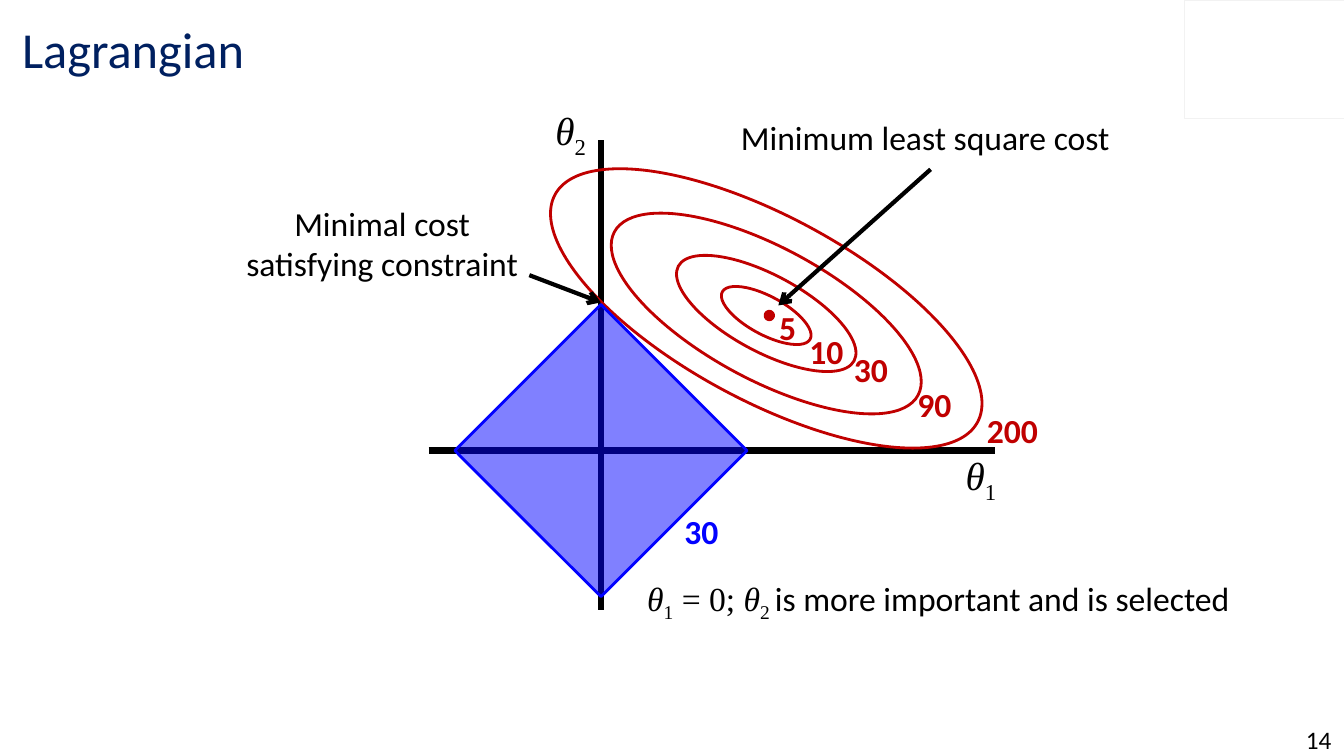
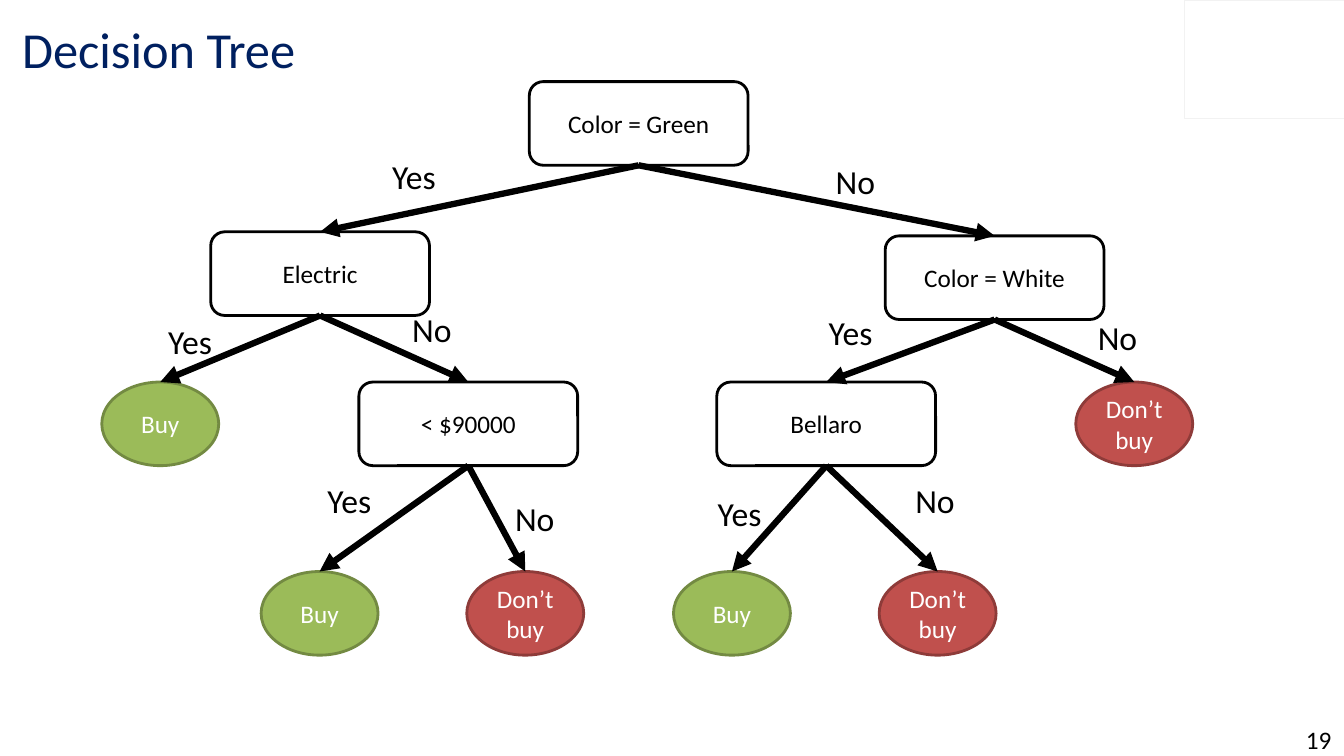
from dataclasses import dataclass

from lxml import etree
from pptx import Presentation
from pptx import util as u
from pptx.dml.color import RGBColor
from pptx.enum import shapes, text
from pptx.oxml import ns

BLACK = RGBColor(0x00, 0x00, 0x00)
WHITE = RGBColor(0xFF, 0xFF, 0xFF)
NAVY = RGBColor(0x00, 0x20, 0x60)
PALE_GREY = RGBColor(0xF2, 0xF2, 0xF2)
DARK_RED = RGBColor(0xC0, 0x00, 0x00)
BLUE = RGBColor(0x02, 0x02, 0xFF)
GREEN = RGBColor(0x9B, 0xBB, 0x59)
GREEN_EDGE = RGBColor(0x73, 0x8A, 0x42)
RED = RGBColor(0xC0, 0x50, 0x4D)
RED_EDGE = RGBColor(0x8E, 0x3B, 0x39)

BODY = {"name": "Calibri", "size": u.Pt(24), "bold": False, "italic": False}
TITLE = {**BODY, "size": u.Pt(36)}
SMALL = {**BODY, "size": u.Pt(18)}
STRONG = {**BODY, "bold": True}
SERIF = {**BODY, "name": "Times New Roman"}
SYMBOL = {**SERIF, "italic": True}

CENTER = text.PP_ALIGN.CENTER
LEFT = text.PP_ALIGN.LEFT
MIDDLE = text.MSO_ANCHOR.MIDDLE
SHAPE = shapes.MSO_SHAPE
TOP_SIDE, BOTTOM_SIDE = 0, 2


@dataclass
class Box:
    left: float
    top: float
    width: float
    height: float

    def inner(self, left, top, width, height):
        return Box(self.left + left, self.top + top, width, height)

    def around(self, x, y, width, height):
        return self.inner(x - width / 2, y - height / 2, width, height)

    def point(self, x, y):
        return u.Inches(self.left + x), u.Inches(self.top + y)

    def frame(self):
        return [u.Inches(n) for n in (self.left, self.top, self.width, self.height)]


def set_all(target, values):
    for name, value in values.items():
        setattr(target, name, value)


def write(frame, paragraphs, color=BLACK, align=LEFT):
    for index, spans in enumerate(paragraphs):
        para = frame.paragraphs[0] if index == 0 else frame.add_paragraph()
        para.alignment = align
        for words, style, *lowered in spans:
            span = para.add_run()
            span.text = words
            set_all(span.font, style)
            span.font.color.rgb = color
            if lowered:
                span.font._element.set("baseline", "-25000")


def add_text(page, box, paragraphs, color=BLACK, align=LEFT, **settings):
    label = page.shapes.add_textbox(*box.frame())
    set_all(label.text_frame, {"word_wrap": False, **settings})
    write(label.text_frame, paragraphs, color, align)


def add_figure(page, kind, box, edge, weight=2, fill=None, rotation=0):
    figure = page.shapes.add_shape(kind, *box.frame())
    figure.shadow.inherit = False
    figure.rotation = rotation
    figure.line.color.rgb = edge
    figure.line.width = u.Pt(weight)
    if fill is None:
        figure.fill.background()
    else:
        figure.fill.solid()
        figure.fill.fore_color.rgb = fill
    return figure


def add_line(page, start, end, weight=4.5, arrow=None):
    line = page.shapes.add_connector(shapes.MSO_CONNECTOR.STRAIGHT, *start, *end)
    line.line.color.rgb = BLACK
    line.line.width = u.Pt(weight)
    properties = line.element.spPr
    if arrow:
        outline = properties.find(ns.qn("a:ln"))
        etree.SubElement(outline, ns.qn("a:tailEnd"), type=arrow)
    etree.SubElement(properties, ns.qn("a:effectLst"))
    return line


def add_page(deck, title, number):
    page = deck.slides.add_slide(deck.slide_layouts[6])
    add_figure(page, SHAPE.RECTANGLE, Box(11.74, 0, 1.59, 1.17), PALE_GREY, 0.25)
    add_text(page, Box(0.12, 0.1, 10.29, 0.75), [[(title, TITLE)]], NAVY,
             word_wrap=True, vertical_anchor=MIDDLE)
    add_text(page, Box(12.83, 7.17, 0.5, 0.33), [[(str(number), SMALL)]],
             align=CENTER, word_wrap=True, vertical_anchor=MIDDLE)
    return page


def theta(index):
    return [("θ", SYMBOL), (index, SERIF, True)]


def draw_contours(page, box):
    for height, y in ((4.76, 2.05), (3.42, 2.1), (1.98, 2.1), (0.99, 2.12)):
        add_figure(page, SHAPE.OVAL, box.around(5.27, y, height * 0.384, height),
                   DARK_RED, rotation=298.3)
    add_figure(page, SHAPE.OVAL, box.around(5.3, 2.12, 0.05, 0.05), DARK_RED, 4.5)


def draw_lagrangian(page, box):
    add_line(page, box.point(1.92, 3.46), box.point(7.54, 3.46))
    add_line(page, box.point(3.63, 5.04), box.point(3.63, 0.38))
    draw_contours(page, box)

    for index, left, top in (("1", 7.15, 3.42), ("2", 3.08, 0)):
        big = [(words, {**style, "size": u.Pt(28)}, *lowered)
               for words, style, *lowered in theta(index)]
        add_text(page, box.inner(left, top, 0.56, 0.57), [big])

    costs = (("5", 5.3, 1.99, 0.37), ("10", 5.6, 2.22, 0.54), ("30", 6.04, 2.4, 0.54),
             ("90", 6.67, 2.75, 0.54), ("200", 7.36, 3.01, 0.71))
    for cost, left, top, width in costs:
        add_text(page, box.inner(left, top, width, 0.5), [[(cost, STRONG)]], DARK_RED)

    add_line(page, box.point(6.9, 0.67), box.point(5.39, 2.02), 3, "arrow")
    add_text(page, box.inner(4.92, 0.1, 3.89, 0.5), [[("Minimum least square cost", BODY)]])

    diamond = add_figure(page, SHAPE.RECTANGLE, box.around(3.63, 3.46, 2.05, 2.05),
                         BLUE, fill=BLUE, rotation=45)
    tint = diamond.element.spPr.find(ns.qn("a:solidFill"))[0]
    etree.SubElement(tint, ns.qn("a:alpha"), val="50000")

    add_text(page, box.inner(0, 0.95, 2.92, 0.91),
             [[("Minimal cost", BODY)], [("satisfying constraint", BODY)]], align=CENTER)
    add_line(page, box.point(2.92, 1.72), box.point(3.63, 1.99), 3, "arrow")
    add_text(page, box.inner(4.36, 4.01, 0.54, 0.5), [[("30", STRONG)]], BLUE)
    add_text(page, box.inner(3.99, 4.67, 6.19, 0.5),
             [theta("1") + [(" = 0; ", SERIF)] + theta("2 ")
              + [("is more important and is selected", BODY)]])


NODE_KINDS = {
    "question": (SHAPE.ROUNDED_RECTANGLE, 2.17, WHITE, BLACK, BLACK),
    "accept": (SHAPE.OVAL, 1.16, GREEN, GREEN_EDGE, WHITE),
    "reject": (SHAPE.OVAL, 1.16, RED, RED_EDGE, WHITE),
}
NODES = {
    "root": ("question", "Color = Green", 4.24, 0),
    "white": ("question", "Color = White", 7.77, 1.53),
    "electric": ("question", "Electric", 1.08, 1.49),
    "price": ("question", "< $90000", 2.55, 2.98),
    "maker": ("question", "Bellaro", 6.1, 2.98),
    "electric_yes": ("accept", "Buy", 0, 2.98),
    "price_yes": ("accept", "Buy", 1.58, 4.86),
    "price_no": ("reject", "Don’t buy", 3.62, 4.86),
    "maker_yes": ("accept", "Buy", 5.67, 4.86),
    "maker_no": ("reject", "Don’t buy", 7.71, 4.86),
    "white_no": ("reject", "Don’t buy", 9.66, 2.98),
}
BRANCHES = (
    ("root", "electric", "Yes", 2.78, 0.69),
    ("root", "white", "No", 7.18, 0.74),
    ("electric", "electric_yes", "Yes", 0.56, 2.32),
    ("electric", "price", "No", 2.98, 2.21),
    ("white", "maker", "Yes", 7.11, 2.24),
    ("white", "white_no", "No", 9.78, 2.28),
    ("price", "price_yes", "Yes", 2.14, 3.9),
    ("price", "price_no", "No", 4, 4.08),
    ("maker", "maker_no", "No", 7.97, 3.9),
    ("maker", "maker_yes", "Yes", 6.01, 4.03),
)
ANSWER_WIDTHS = {"Yes": 0.64, "No": 0.6}


def draw_tree(page, box):
    nodes = {}
    for name, (kind, words, left, top) in NODES.items():
        outline, width, fill, edge, color = NODE_KINDS[kind]
        node = add_figure(page, outline, box.inner(left, top, width, 0.83), edge, fill=fill)
        set_all(node.text_frame, {"word_wrap": True, "vertical_anchor": MIDDLE})
        write(node.text_frame, [[(words, SMALL)]], color, CENTER)
        nodes[name] = node

    for parent, child, answer, left, top in BRANCHES:
        branch = add_line(page, box.point(0, 0), box.point(1, 1), arrow="triangle")
        branch.begin_connect(nodes[parent], BOTTOM_SIDE)
        branch.end_connect(nodes[child], TOP_SIDE)
        add_text(page, box.inner(left, top, ANSWER_WIDTHS[answer], 0.5), [[(answer, BODY)]])


def main():
    deck = Presentation()
    deck.slide_width = u.Inches(13.33)
    deck.slide_height = u.Inches(7.5)
    draw_lagrangian(add_page(deck, "Lagrangian", 14), Box(2.33, 1.01, 10.18, 5.17))
    draw_tree(add_page(deck, "Decision Tree", 19), Box(1.01, 0.81, 10.82, 5.69))
    deck.save("out.pptx")


if __name__ == "__main__":
    main()
